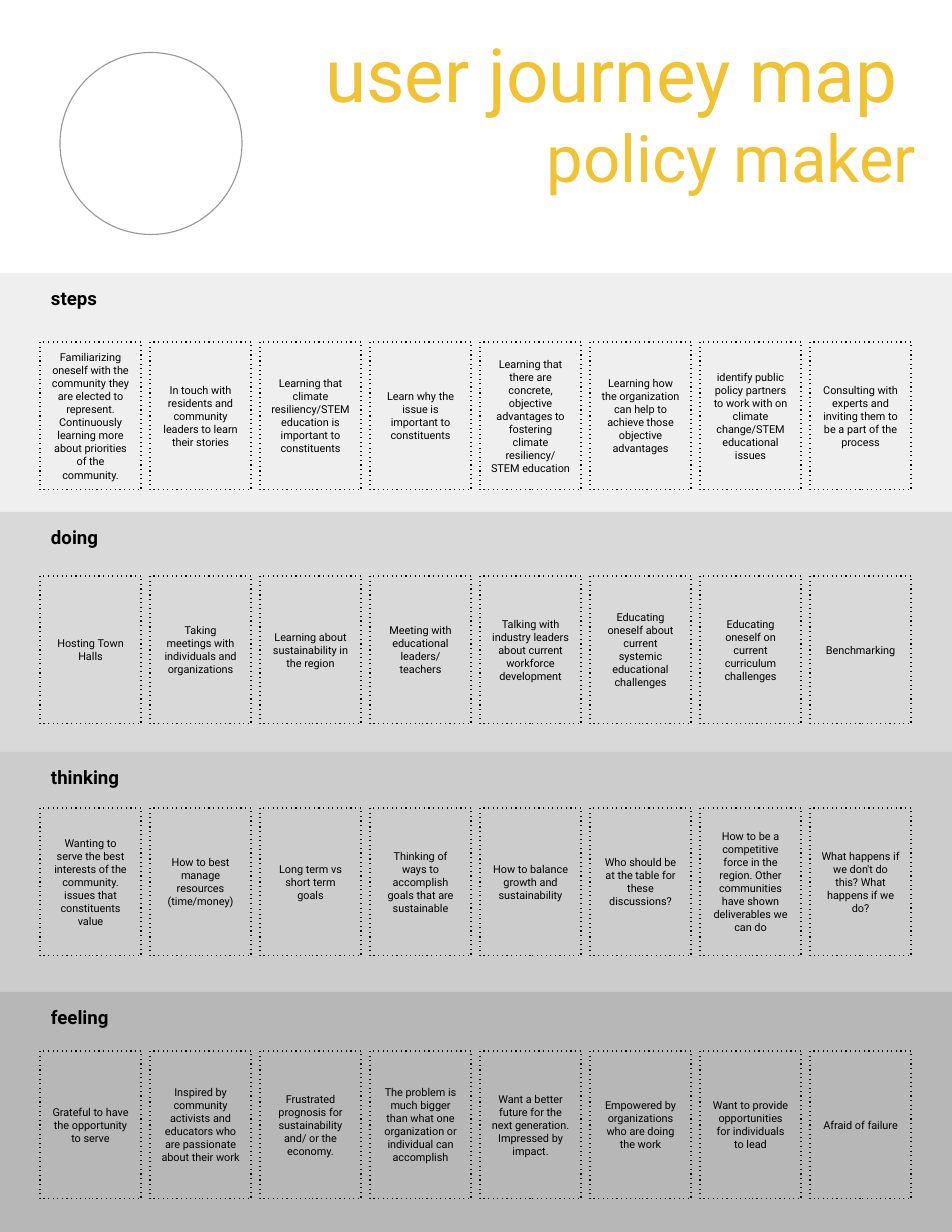
from pptx import Presentation
from pptx.dml.color import RGBColor
from pptx.enum import dml, shapes, text
from pptx.oxml.ns import qn
from pptx.util import Pt

PX = 914400 / 112
FONT = "Roboto"
COLORS = {"title": "F1C232", "ink": "000000", "portrait": "999999",
          "steps": "EFEFEF", "doing": "D9D9D9",
          "thinking": "CCCCCC", "feeling": "B7B7B7"}

# Stage name, top of its band, gap from band top to cards, card texts
STAGES = [
    ("steps", 273, 69, [
        "Familiarizing oneself with the community they are elected to represent. "
        "Continuously learning more about priorities of the community.",
        "In touch with residents and community leaders to learn their stories",
        "Learning that climate resiliency/STEM education is important to constituents",
        "Learn why the issue is important to constituents",
        "Learning that there are concrete, objective advantages to fostering climate "
        "resiliency/ STEM education",
        "Learning how the organization can help to achieve those objective advantages",
        "identify public policy partners to work with on climate change/STEM "
        "educational issues",
        "Consulting with experts and inviting them to be a part of the process"]),
    ("doing", 512, 64, [
        "Hosting Town Halls",
        "Taking meetings with individuals and organizations",
        "Learning about sustainability in the region",
        "Meeting with educational leaders/ teachers",
        "Talking with industry leaders about current workforce development",
        "Educating oneself about current systemic educational challenges",
        "Educating oneself on current curriculum challenges",
        "Benchmarking"]),
    ("thinking", 752, 56, [
        "Wanting to serve the best interests of the community. issues that "
        "constituents value",
        "How to best manage resources (time/money)",
        "Long term vs short term goals",
        "Thinking of ways to accomplish goals that are sustainable",
        "How to balance growth and sustainability",
        "Who should be at the table for these discussions?",
        "How to be a competitive force in the region. Other communities have shown "
        "deliverables we can do",
        "What happens if we don't do this? What happens if we do?"]),
    ("feeling", 992, 59, [
        "Grateful to have the opportunity to serve",
        "Inspired by community activists and educators who are passionate about "
        "their work",
        "Frustrated prognosis for sustainability and/ or the economy.",
        "The problem is much bigger than what one organization or individual can "
        "accomplish",
        "Want a better future for the next generation. Impressed by impact.",
        "Empowered by organizations who are doing the work",
        "Want to provide opportunities for individuals to lead",
        "Afraid of failure"]),
]


def px(*lengths):
    return [round(length * PX) for length in lengths]


def set_frame(frame, anchor):
    frame.word_wrap = True
    frame.auto_size = text.MSO_AUTO_SIZE.NONE
    frame.vertical_anchor = anchor
    frame.margin_left, frame.margin_top, frame.margin_right, frame.margin_bottom = px(
        11, 11, 11, 11)


def style(paragraph, size, color, align, bold=False):
    paragraph.alignment = align
    font = paragraph.font
    font.name, font.size, font.bold = FONT, Pt(size), bold
    font.color.rgb = RGBColor.from_string(COLORS[color])


def add_outline(slide, kind, box, fill=None, line=None):
    outline = slide.shapes.add_shape(kind, *px(*box))
    outline.shadow.inherit = False
    if fill:
        outline.fill.solid()
        outline.fill.fore_color.rgb = RGBColor.from_string(COLORS[fill])
    else:
        outline.fill.background()
    if line:
        outline.line.color.rgb = RGBColor.from_string(COLORS[line])
        outline.line.width = Pt(0.75)
    else:
        outline.line.fill.background()
    return outline


def add_header(slide, left, top, width, height):
    # Two-line heading on the right
    heading = slide.shapes.title
    heading.left, heading.top, heading.width, heading.height = px(
        left, top + 17, width, 124)
    frame = heading.text_frame
    set_frame(frame, text.MSO_ANCHOR.TOP)
    frame.text = "user journey map \npolicy maker"
    for paragraph, size in zip(frame.paragraphs, (48, 42)):
        style(paragraph, size, "title", text.PP_ALIGN.RIGHT)
    # Round portrait frame on the left
    diameter = 182
    add_outline(slide, shapes.MSO_SHAPE.OVAL,
                (left + 20, top + (height - diameter) / 2 + 7, diameter, diameter),
                line="portrait")


def add_card(slide, box, wording):
    card = add_outline(slide, shapes.MSO_SHAPE.RECTANGLE, box, line="ink")
    # Widely spaced dots have no python-pptx constant
    card.line.dash_style = dml.MSO_LINE.ROUND_DOT
    card.line._ln.find(qn("a:prstDash")).set("val", "dot")
    set_frame(card.text_frame, text.MSO_ANCHOR.MIDDLE)
    card.text_frame.text = wording
    style(card.text_frame.paragraphs[0], 7, "ink", text.PP_ALIGN.CENTER)


def add_stage(slide, left, top, width, height, name, card_gap, wordings):
    # Shaded band
    add_outline(slide, shapes.MSO_SHAPE.RECTANGLE, (left, top, width, height), fill=name)
    # Stage label
    label = slide.shapes.add_textbox(*px(left + 41, top, 176, 46))
    set_frame(label.text_frame, text.MSO_ANCHOR.MIDDLE)
    label.text_frame.text = name
    caption = label.text_frame.paragraphs[0]
    caption.line_spacing = 1.15
    style(caption, 12, "ink", text.PP_ALIGN.JUSTIFY, bold=True)
    # Row of cards
    for column, wording in enumerate(wordings):
        add_card(slide, (left + 41 + 110 * column, top + card_gap, 101, 148), wording)


def main():
    deck = Presentation()
    deck.slide_width, deck.slide_height = px(952, 1232)
    slide = deck.slides.add_slide(deck.slide_layouts[5])
    add_header(slide, 40, 0, 887, 273)
    for name, top, card_gap, wordings in STAGES:
        add_stage(slide, -1, top, 953, 240, name, card_gap, wordings)
    deck.save("out.pptx")


if __name__ == "__main__":
    main()
